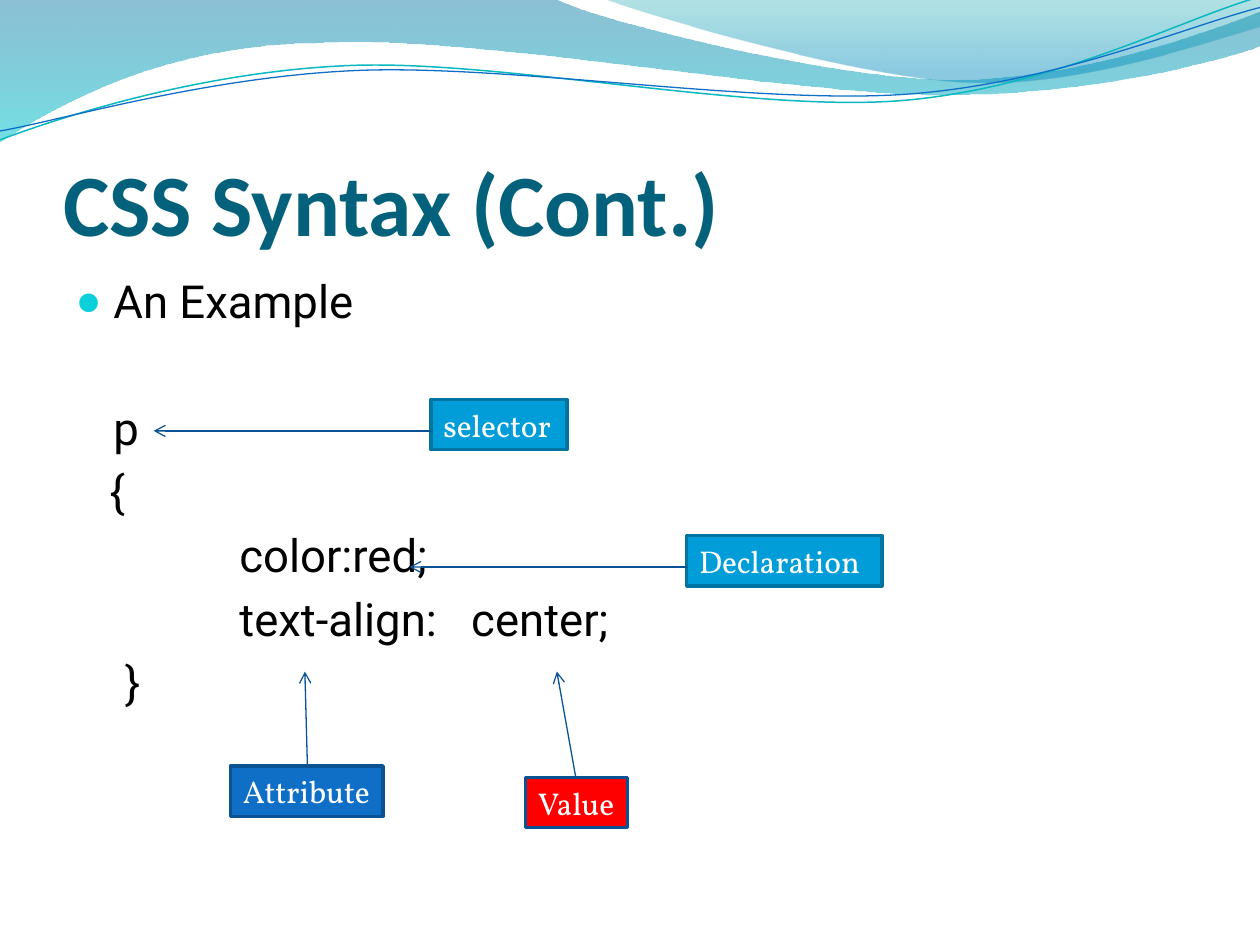
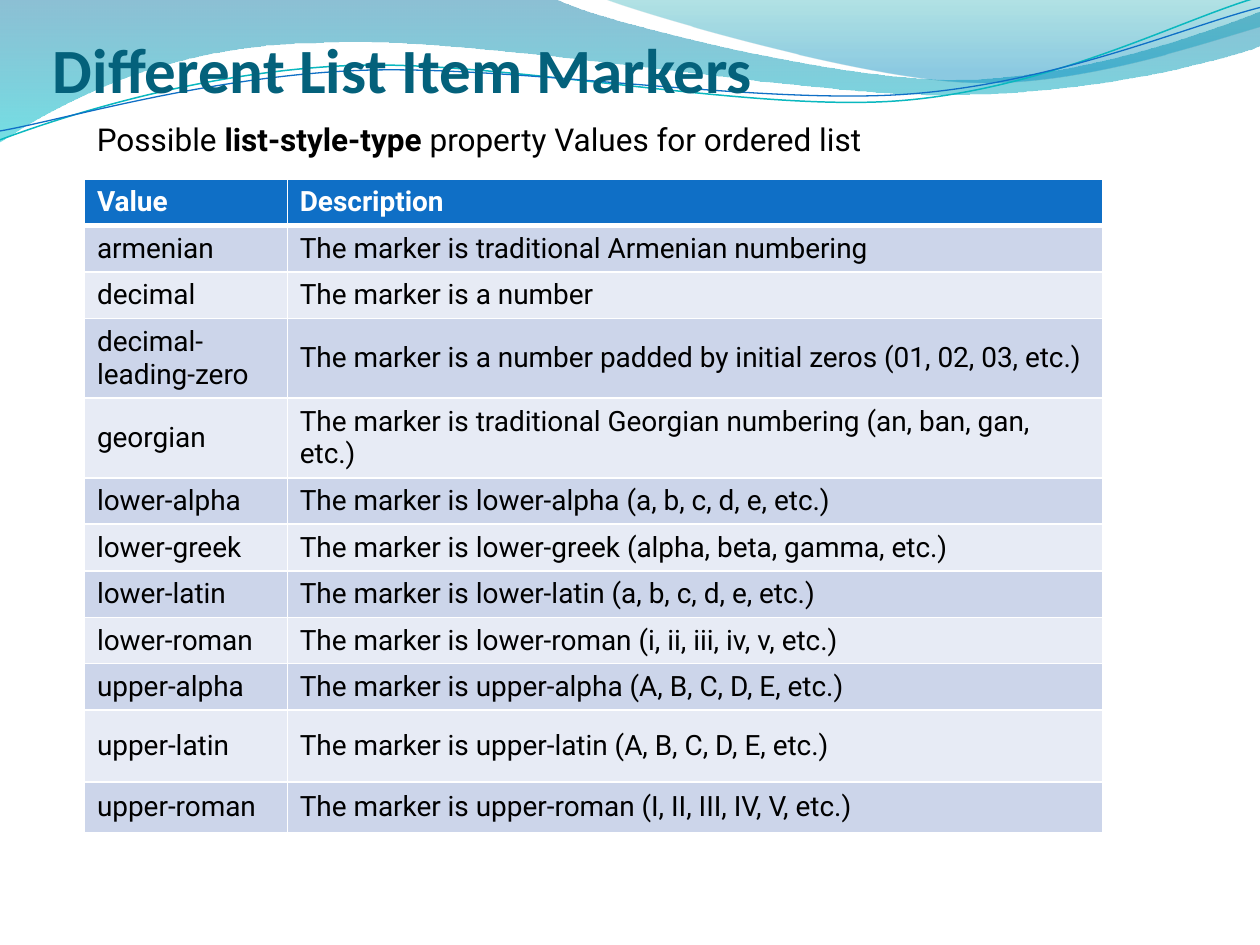
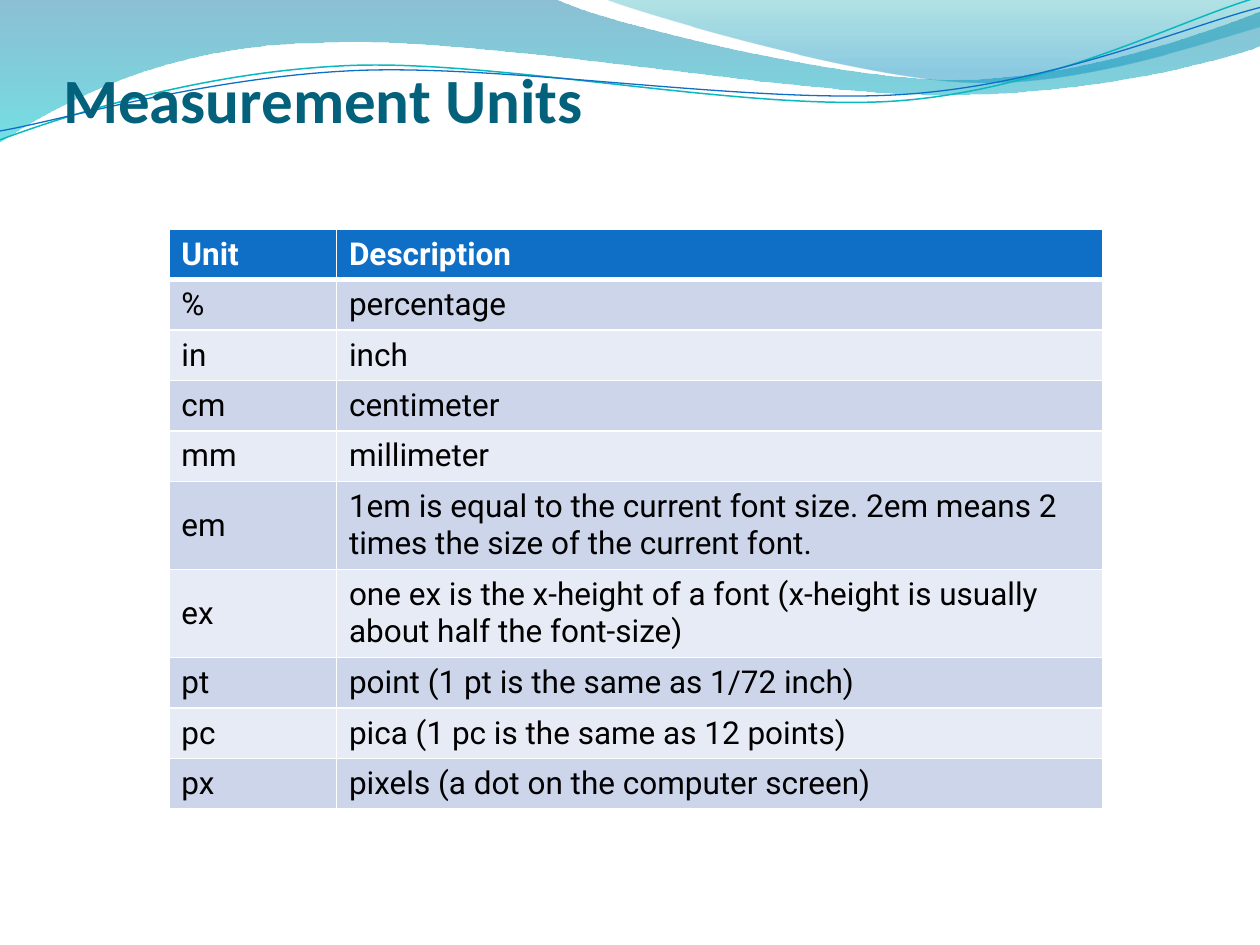
"""Build three CSS lecture slides: syntax example, list markers and measurement units."""
import math
from dataclasses import dataclass

from lxml import etree
from pptx import Presentation
from pptx import util as u
from pptx.dml.color import RGBColor
from pptx.enum import shapes, text
from pptx.oxml.ns import qn


@dataclass(frozen=True)
class Theme:
    title_font: str = "Calibri"
    body_font: str = "Roboto"
    label_font: str = "Vollkorn"
    title: str = "04617B"
    ink: str = "000000"
    white: str = "FFFFFF"
    bullet: str = "0BD0D9"
    blue: str = "0F6FC6"
    blue_edge: str = "0B5292"
    sky: str = "009DD9"
    sky_edge: str = "0074A1"
    red: str = "FF0000"
    arrow: str = "095295"
    bands: tuple = ("E7EBF5", "CCD5EA")
    big_title: int = 50
    small_title: int = 36
    body: int = 26
    label: int = 18
    cell: int = 16


T = Theme()
rgb = RGBColor.from_string


def write(p, words, size=T.label, color=T.ink, font=T.body_font, bold=False, tracking=0):
    """Add one formatted run to a paragraph."""
    r = p.add_run()
    r.text = words
    r.font.size, r.font.name, r.font.bold = u.Pt(size), font, bold
    r.font.color.rgb = rgb(color)
    if tracking:
        r.font._element.set("spc", str(tracking))


def add_wave(s, start, segments, close, turn=0, center=(0, 0)):
    """Draw a path of lines (2 numbers) and Bezier curves (6 numbers), turned about a center."""
    cos, sin = math.cos(math.radians(turn)), math.sin(math.radians(turn))
    pts = []
    for seg in (start, *segments):
        for x, y in zip(seg[::2], seg[1::2]):
            dx, dy = x - center[0], y - center[1]
            pts.append((u.Inches(center[0] + dx * cos + dy * sin),
                        u.Inches(center[1] + dy * cos - dx * sin)))
    fb = s.shapes.build_freeform(*pts[0])
    fb.add_line_segments(pts[1:], close=close)
    sp = fb.convert_to_shape()
    sp.rotation = turn
    sp.shadow.inherit = False
    lines = iter(list(sp.element.spPr.iter(qn("a:lnTo"))))
    for seg in segments:
        group = [next(lines) for _ in seg[::2]]
        if len(group) == 3:
            curve = etree.Element(qn("a:cubicBezTo"))
            group[0].addprevious(curve)
            for ln in group:
                curve.append(ln[0])
                ln.getparent().remove(ln)
    return sp


prs = Presentation()
prs.slide_width, prs.slide_height = u.Inches(10), u.Inches(7.5)

titles = [
    ("CSS Syntax (Cont.)", 1, T.big_title, (0.5, 0.77, 9, 1.25)),
    ("Different List Item Markers", 5, T.small_title, (0.42, 0.42, 8.33, 0.42)),
    ("Measurement Units", 5, T.small_title, (0.5, 0.52, 6.58, 0.56)),
]
for words, layout, size, box in titles:
    s = prs.slides.add_slide(prs.slide_layouts[layout])
    sp = s.shapes.title
    sp.left, sp.top, sp.width, sp.height = map(u.Inches, box)
    tf = sp.text_frame
    tf.auto_size = text.MSO_AUTO_SIZE.NONE
    tf.vertical_anchor = text.MSO_ANCHOR.BOTTOM
    tf.margin_left = tf.margin_right = tf.margin_bottom = 0
    tf.margin_top = u.Inches(0.05)
    tf.paragraphs[0].alignment = text.PP_ALIGN.LEFT
    write(tf.paragraphs[0], words, size=size, color=T.title, font=T.title_font, bold=True)
syntax, markers, units = prs.slides

filled_waves = [
    ((0, -0.01), [(4.4, -0.01), (4.76, 0.17, 6.64, 0.63, 7.58, 0.63),
                  (8.53, 0.63, 9.58, 0.26, 10, 0.09), (10.01, 0.36),
                  (9.83, 0.44, 8.7, 0.76, 7.46, 0.75), (6.22, 0.75, 3.82, 0.28, 2.57, 0.34),
                  (1.29, 0.35, 0.46, 0.83, -0.01, 1.13)],
     [(0, "0074A1", 45), (1, "00C6CF", 55)]),
    ((4.79, -0.01), [(5.09, 0.11, 6.82, 0.62, 7.69, 0.65),
                     (8.56, 0.69, 9.61, 0.32, 10, 0.21), (10, 0)],
     [(0, "00A1A9", 30), (0.8, "008BBF", 45)]),
]
line_waves = [
    ((0, 1.11), [(0.48, 0.93, 1.58, 0.57, 2.77, 0.52), (3.95, 0.47, 5.93, 0.89, 7.13, 0.8),
                 (8.33, 0.71, 9.38, 0.15, 9.98, -0.02)], (4.99, 0.58), "0AB8BF", 0.85),
    ((0, 1.04), [(0.47, 0.96, 1.64, 0.61, 2.83, 0.56), (4.03, 0.51, 5.97, 0.83, 7.17, 0.75),
                 (8.36, 0.67, 9.41, 0.21, 10, 0.06)], (5, 0.59), T.blue, 0.75),
]
waves = []
for start, segments, stops in filled_waves:
    sp = add_wave(syntax, start, segments, close=True)
    sp.line.fill.background()
    sp.fill.gradient()
    sp.fill.gradient_angle = 270
    for stop, (position, color, _) in zip(sp.fill.gradient_stops, stops):
        stop.position, stop.color.rgb = position, rgb(color)
    for clr, (_, _, alpha) in zip(sp.element.spPr.iter(qn("a:srgbClr")), stops):
        etree.SubElement(clr, qn("a:alpha"), val=str(alpha * 1000))
    waves.append(sp)
for start, segments, center, color, width in line_waves:
    sp = add_wave(syntax, start, segments, close=False, turn=357.3, center=center)
    sp.fill.background()
    sp.line.color.rgb, sp.line.width = rgb(color), u.Pt(width)
    waves.append(sp)
for i, sp in enumerate(waves):
    sp.element.nvSpPr.cNvPr.id = 20 + i
    prs.slide_master.shapes.element.insert(2 + i, sp.element)

sp = syntax.placeholders[1]
sp.left, sp.top, sp.width, sp.height = map(u.Inches, (0.5, 2.12, 9, 4.8))
tf = sp.text_frame
tf.auto_size = text.MSO_AUTO_SIZE.NONE
code = [
    (["An Example"], 0.3, 5.2), (["p"], 0.3, 41), (["{"], 0.27, 5.2),
    (["color:red;"], 1.3, 5.2), (["text-align:", "center;"], 1.3, 5.2), (["}"], 0.39, 5.2),
]
for i, (parts, left, before) in enumerate(code):
    p = tf.add_paragraph() if i else tf.paragraphs[0]
    p.space_before = u.Pt(before)
    write(p, parts[0], size=T.body)
    for words in parts[1:]:
        write(p, " ", size=T.body, tracking=1290)
        write(p, words, size=T.body)
    pPr = p._p.get_or_add_pPr()
    pPr.set("marL", str(u.Inches(left)))
    pPr.set("indent", str(0 if i else u.Inches(-0.3)))
    if i:
        etree.SubElement(pPr, qn("a:buNone"))
    else:
        clr = etree.SubElement(pPr, qn("a:buClr"))
        etree.SubElement(clr, qn("a:srgbClr"), val=T.bullet)
        etree.SubElement(pPr, qn("a:buSzPct"), val="95000")
        etree.SubElement(pPr, qn("a:buChar"), char="●")

labels = [
    ("selector", (3.42, 3.17, 1.08, 0.4), T.sky, T.sky_edge, True, (3.42, 3.42, 1.22, 3.42)),
    ("Declaration", (5.45, 4.25, 1.55, 0.4), T.sky, T.sky_edge, True, (5.45, 4.5, 3.25, 4.5)),
    ("Attribute", (1.83, 6.08, 1.21, 0.4), T.blue, T.blue_edge, False, (2.44, 6.08, 2.42, 5.33)),
    ("Value", (4.17, 6.17, 0.81, 0.4), T.red, T.blue_edge, False, (4.57, 6.17, 4.42, 5.33)),
]
for words, box, fill, edge, wrap, ends in labels:
    sp = syntax.shapes.add_shape(shapes.MSO_SHAPE.RECTANGLE, *map(u.Inches, box))
    sp.shadow.inherit = False
    sp.fill.solid()
    sp.fill.fore_color.rgb = rgb(fill)
    sp.line.color.rgb, sp.line.width = rgb(edge), u.Pt(2)
    tf = sp.text_frame
    tf.word_wrap = wrap
    tf.auto_size = text.MSO_AUTO_SIZE.SHAPE_TO_FIT_TEXT
    tf.vertical_anchor = text.MSO_ANCHOR.TOP
    tf.paragraphs[0].alignment = text.PP_ALIGN.LEFT
    write(tf.paragraphs[0], words, color=T.white, font=T.label_font)
    cn = syntax.shapes.add_connector(shapes.MSO_CONNECTOR.STRAIGHT, *map(u.Inches, ends))
    cn.line.color.rgb, cn.line.width = rgb(T.arrow), u.Pt(0.75)
    spPr = cn.element.spPr
    etree.SubElement(spPr.find(qn("a:ln")), qn("a:tailEnd"), type="arrow")
    etree.SubElement(spPr, qn("a:effectLst"))

sp = markers.shapes.add_textbox(*map(u.Inches, (0.67, 0.75, 8.75, 0.56)))
tf = sp.text_frame
tf.word_wrap = True
tf.auto_size = text.MSO_AUTO_SIZE.SHAPE_TO_FIT_TEXT
p = tf.paragraphs[0]
p.line_spacing = 1.5
write(p, "Possible ")
write(p, "list-style-type", bold=True)
write(p, " property Values for ordered list")

marker_rows = [
    ("Value", "Description"),
    ("armenian", "The marker is traditional Armenian numbering"),
    ("decimal", "The marker is a number"),
    ("decimal-leading-zero", "The marker is a number padded by initial zeros (01, 02, 03, etc.)"),
    ("georgian", "The marker is traditional Georgian numbering (an, ban, gan, etc.)"),
    ("lower-alpha", "The marker is lower-alpha (a, b, c, d, e, etc.)"),
    ("lower-greek", "The marker is lower-greek (alpha, beta, gamma, etc.)"),
    ("lower-latin", "The marker is lower-latin (a, b, c, d, e, etc.)"),
    ("lower-roman", "The marker is lower-roman (i, ii, iii, iv, v, etc.)"),
    ("upper-alpha", "The marker is upper-alpha (A, B, C, D, E, etc.)"),
    ("upper-latin", "The marker is upper-latin (A, B, C, D, E, etc.)"),
    ("upper-roman", "The marker is upper-roman (I, II, III, IV, V, etc.)"),
]
unit_rows = [
    ("Unit", "Description"),
    ("%", "percentage"),
    ("in", "inch"),
    ("cm", "centimeter"),
    ("mm", "millimeter"),
    ("em", "1em is equal to the current font size. 2em means 2 times the size of the current font."),
    ("ex", "one ex is the x-height of a font (x-height is usually about half the font-size)"),
    ("pt", "point (1 pt is the same as 1/72 inch)"),
    ("pc", "pica (1 pc is the same as 12 points)"),
    ("px", "pixels (a dot on the computer screen)"),
]
tables = [
    (markers, marker_rows, (0.67, 1.42, 8.08, 5.17), (1.61, 6.47), T.cell, 0.37,
     {2: 0.36, 3: 0.63, 4: 0.63, 5: 0.36, 8: 0.36, 10: 0.57, 11: 0.4}),
    (units, unit_rows, (1.34, 1.82, 7.41, 4.6), (1.33, 6.08), T.label, 0.4, {5: 0.7, 6: 0.7}),
]
for s, rows, box, widths, size, height, special in tables:
    tbl = s.shapes.add_table(len(rows), len(widths), *map(u.Inches, box)).table
    for col, width in zip(tbl.columns, widths):
        col.width = u.Inches(width)
    for i, row in enumerate(rows):
        tbl.rows[i].height = u.Inches(special.get(i, height))
        for j, words in enumerate(row):
            cell = tbl.cell(i, j)
            cell.vertical_anchor = text.MSO_ANCHOR.MIDDLE
            cell.fill.solid()
            cell.fill.fore_color.rgb = rgb(T.bands[i % 2] if i else T.blue)
            write(cell.text_frame.paragraphs[0], words, size=size,
                  color=T.ink if i else T.white, bold=i == 0)
            tcPr = cell._tc.get_or_add_tcPr()
            for k, side in enumerate(("lnL", "lnR", "lnT", "lnB")):
                heavy = (i, side) in ((0, "lnB"), (1, "lnT"))
                ln = etree.Element(qn(f"a:{side}"), w=str(u.Pt(3 if heavy else 1)))
                solid = etree.SubElement(ln, qn("a:solidFill"))
                etree.SubElement(solid, qn("a:srgbClr"), val=T.white)
                tcPr.insert(k, ln)

prs.save("out.pptx")
